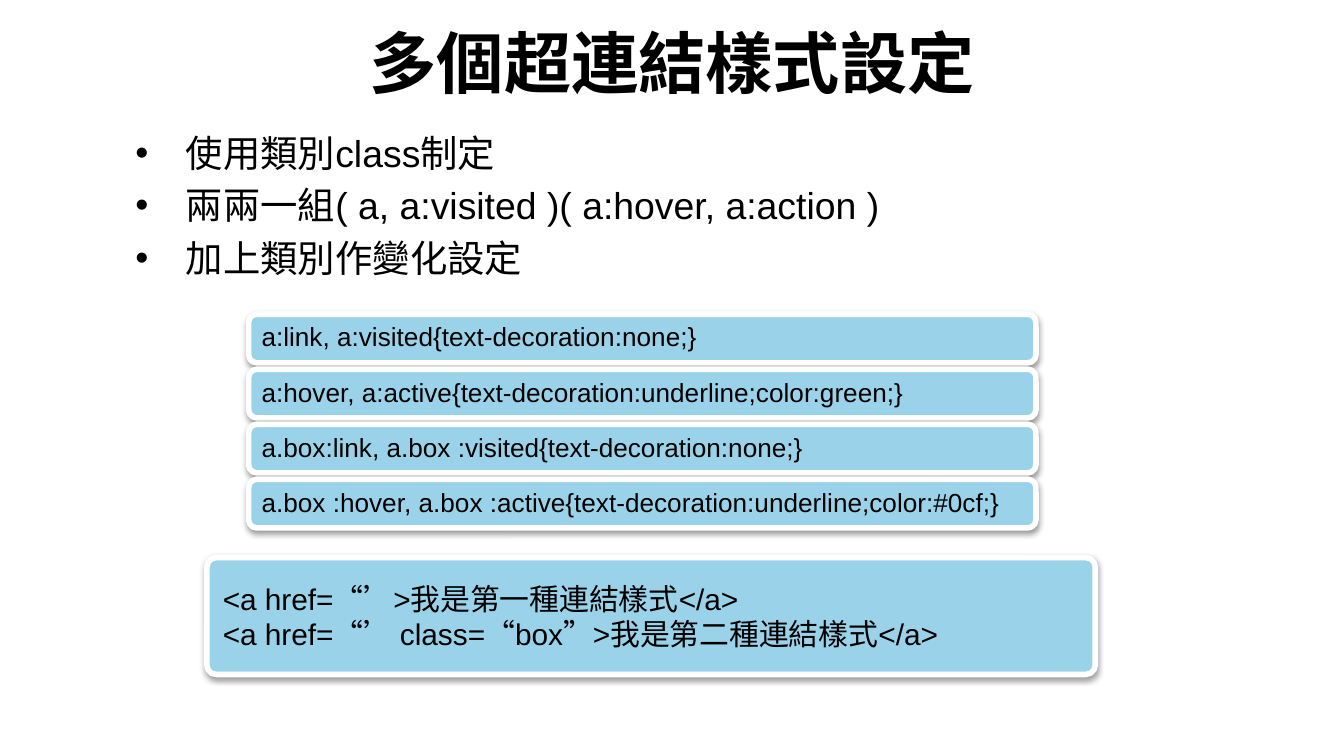
from lxml import etree
from pptx import Presentation
from pptx.dml.color import RGBColor
from pptx.enum.shapes import MSO_SHAPE
from pptx.enum.text import MSO_ANCHOR, MSO_AUTO_SIZE, PP_ALIGN
from pptx.oxml import parse_xml
from pptx.oxml.ns import nsdecls, qn
from pptx.util import Cm, Pt

ROUNDED = MSO_SHAPE.ROUNDED_RECTANGLE
MIDDLE = MSO_ANCHOR.MIDDLE
TOP = MSO_ANCHOR.TOP
NO_AUTOFIT = MSO_AUTO_SIZE.NONE
LEFT = PP_ALIGN.LEFT
CENTER = PP_ALIGN.CENTER

BLACK = RGBColor(0x00, 0x00, 0x00)
WHITE = RGBColor(0xFF, 0xFF, 0xFF)
SKY = RGBColor(0x9A, 0xD3, 0xE9)

TITLE_FONT = {"name": "DejaVu Sans Mono", "size": Pt(36), "bold": True}
BULLET_FONT = {"name": "Arial", "size": Pt(20)}
RULE_FONT = {"name": "Arial", "size": Pt(14)}
MARKUP_FONT = {"name": "Arial", "size": Pt(16)}

TITLE = "多個超連結樣式設定"
BULLETS = [
    "使用類別class制定",
    "兩兩一組( a, a:visited )( a:hover, a:action )",
    "加上類別作變化設定",
]
STYLE_RULES = [
    "a:link, a:visited{text-decoration:none;}",
    "a:hover, a:active{text-decoration:underline;color:green;}",
    "a.box:link, a.box :visited{text-decoration:none;}",
    "a.box :hover, a.box :active{text-decoration:underline;color:#0cf;}",
]
MARKUP = [
    "<a href=“’>我是第一種連結樣式</a>",
    "<a href=“’ class=“box”>我是第二種連結樣式</a>",
]
RULE_TOP, RULE_PITCH = 5.94, 1.04
BULLET_INDENT = Cm(0.95)


def set_attributes(target, values):
    for name, value in values.items():
        setattr(target, name, value)


def write_lines(shape, lines, font, paragraph_format, anchor=MIDDLE):
    frame = shape.text_frame
    set_attributes(frame, {"word_wrap": True, "auto_size": NO_AUTOFIT,
                           "vertical_anchor": anchor})
    frame.text = "\n".join(lines)
    for paragraph in frame.paragraphs:
        set_attributes(paragraph, paragraph_format)
        set_attributes(paragraph.font, font)
        paragraph.font.color.rgb = BLACK


def add_bullets(slide, lines):
    shape = slide.shapes.add_textbox(Cm(2.31), Cm(2.34), Cm(21.36), Cm(3.4))
    write_lines(shape, lines, BULLET_FONT, {"space_before": Pt(4)}, TOP)
    for paragraph in shape.text_frame.paragraphs:
        properties = paragraph._p.get_or_add_pPr()
        properties.set("marL", str(BULLET_INDENT))
        properties.set("indent", str(-BULLET_INDENT))
        etree.SubElement(properties, qn("a:buFont"), typeface="Arial")
        etree.SubElement(properties, qn("a:buChar"), char="•")


def add_soft_shadow(shape):
    shape.shadow.inherit = False
    effects = shape._element.spPr.find(qn("a:effectLst"))
    effects.append(parse_xml(
        f'<a:outerShdw {nsdecls("a")} blurRad="{Pt(3.1)}" dist="{Pt(1.6)}" '
        'dir="5400000" rotWithShape="0"><a:srgbClr val="000000">'
        '<a:alpha val="38000"/></a:srgbClr></a:outerShdw>'))


def add_code_panel(slide, box, lines, font, paragraph_format):
    shape = slide.shapes.add_shape(ROUNDED, *map(Cm, box))
    shape.fill.solid()
    shape.fill.fore_color.rgb = SKY
    shape.line.color.rgb = WHITE
    shape.line.width = Pt(3)
    add_soft_shadow(shape)
    write_lines(shape, lines, font, {"alignment": LEFT, **paragraph_format})
    return shape


def add_style_rules(slide, rules):
    margins = dict.fromkeys(["margin_left", "margin_right"], Cm(0.2))
    margins.update(dict.fromkeys(["margin_top", "margin_bottom"], Cm(0.1)))
    for row, rule in enumerate(rules):
        box = (4.7, RULE_TOP + row * RULE_PITCH, 14.88, 0.92)
        panel = add_code_panel(slide, box, [rule], RULE_FONT,
                               {"line_spacing": 0.9})
        set_attributes(panel.text_frame, margins)


def main():
    presentation = Presentation()
    set_attributes(presentation, {"slide_width": Cm(25.4),
                                  "slide_height": Cm(14.29)})
    slide = presentation.slides.add_slide(presentation.slide_layouts[5])

    title = slide.shapes.title
    set_attributes(title, {"left": Cm(0), "top": Cm(0.36),
                           "width": Cm(25.4), "height": Cm(1.6)})
    write_lines(title, [TITLE], TITLE_FONT, {"alignment": CENTER})

    add_bullets(slide, BULLETS)
    add_style_rules(slide, STYLE_RULES)
    markup = add_code_panel(slide, (3.91, 10.54, 16.79, 2.21), MARKUP,
                            MARKUP_FONT, {})
    markup.adjustments[0] = 0.08
    presentation.save("out.pptx")


if __name__ == "__main__":
    main()
